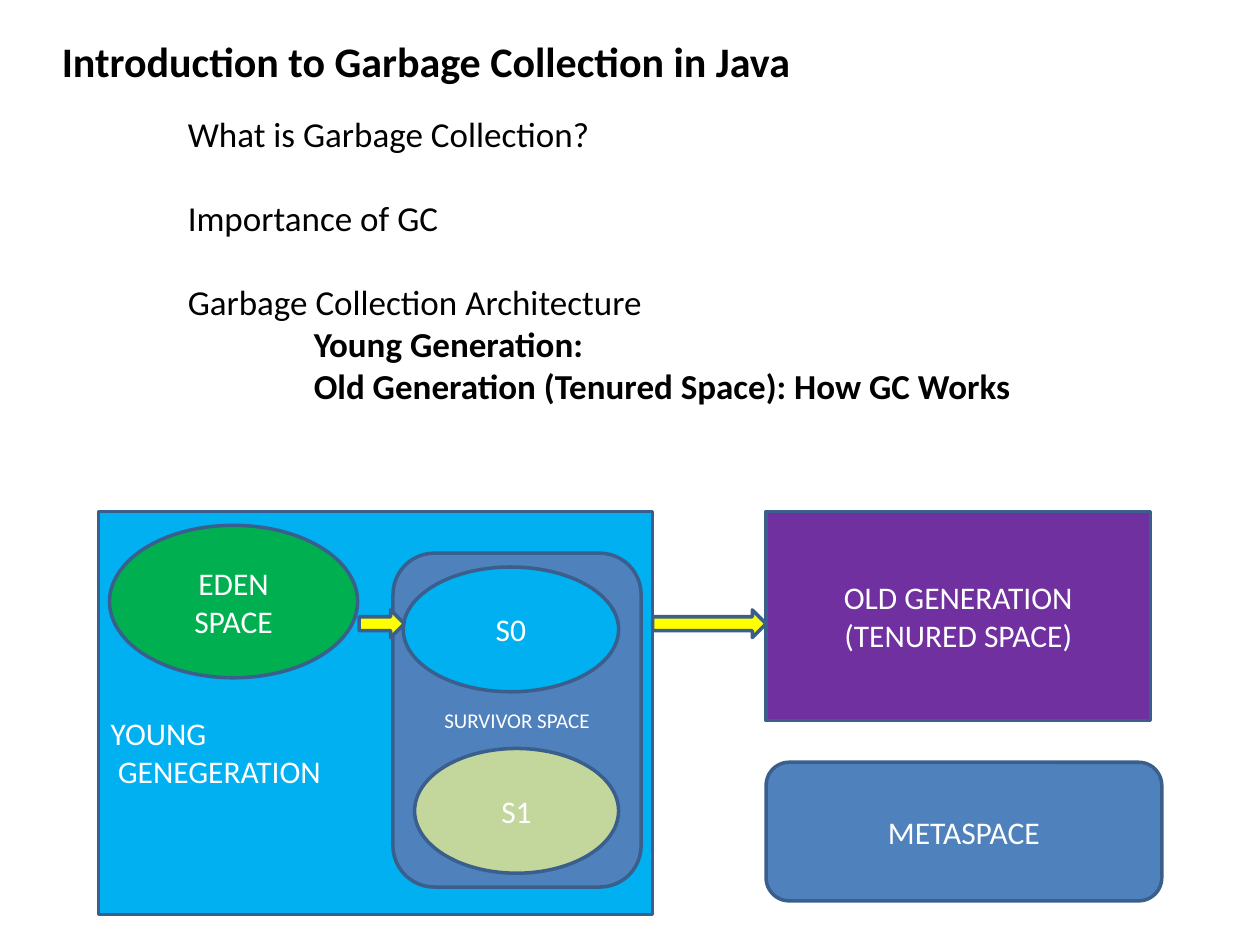
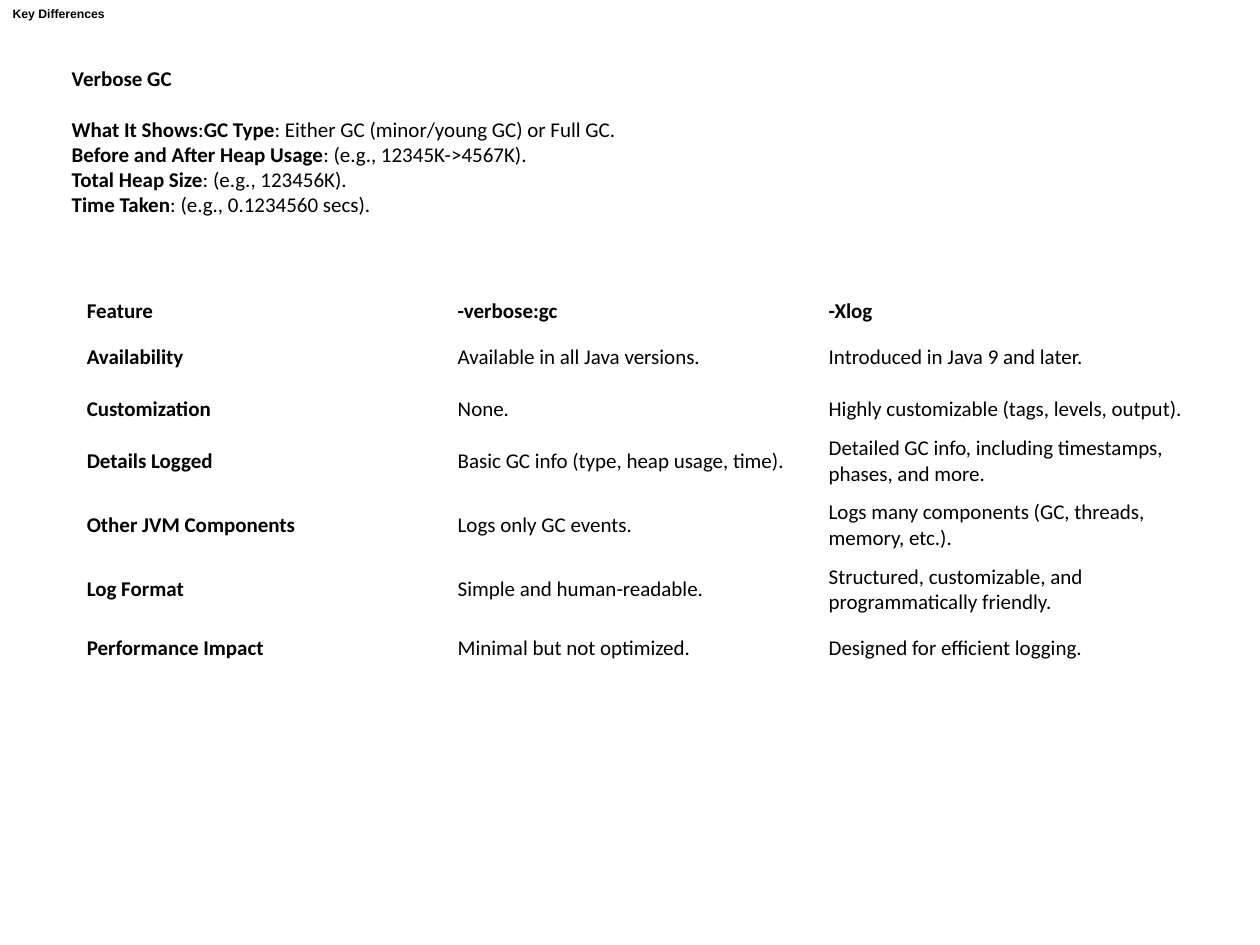
from dataclasses import dataclass

from lxml import etree
from pptx import Presentation
from pptx.dml.color import RGBColor
from pptx.enum.shapes import MSO_SHAPE
from pptx.enum.text import MSO_ANCHOR, MSO_AUTO_SIZE, PP_ALIGN
from pptx.oxml.ns import qn
from pptx.util import Pt

RECT = MSO_SHAPE.RECTANGLE
ROUND = MSO_SHAPE.ROUNDED_RECTANGLE
OVAL = MSO_SHAPE.OVAL
ARROW = MSO_SHAPE.RIGHT_ARROW
TOP, MIDDLE = MSO_ANCHOR.TOP, MSO_ANCHOR.MIDDLE
LEFT, CENTER = PP_ALIGN.LEFT, PP_ALIGN.CENTER
NO_FIT = MSO_AUTO_SIZE.NONE

FONT = "Calibri"
BLACK, WHITE, EDGE = "000000", "FFFFFF", "3A5F8C"
SKY, GREEN, BLUE = "00B0F0", "00B050", "4F81BD"
LIME, PURPLE, YELLOW = "C3D69B", "7030A0", "FFFF00"


@dataclass
class Line:
    """A list line; bars in its text switch between bold and plain."""
    text: str
    indent: float = 0
    gap: float = 0


@dataclass
class Node:
    kind: MSO_SHAPE
    box: tuple
    fill: str
    text: str = ""
    size: float = 18
    align: PP_ALIGN = CENTER
    inset: float = 3.6


TOPICS = [
    Line("|What is Garbage Collection?", 72, 24),
    Line("|Importance of GC", 72, 24),
    Line("|Garbage Collection Architecture", 72),
    Line("Young Generation:", 144),
    Line("Old Generation (Tenured Space): How GC Works", 144),
]

# The top inset pushes the label of the young generation below its middle.
NODES = [
    Node(RECT, (56.2, 292.3, 316.8, 230.4), SKY,
         "YOUNG\n GENEGERATION", align=LEFT, inset=47.6),
    Node(OVAL, (62.6, 300.2, 141.8, 87.1), GREEN, "EDEN SPACE"),
    Node(ROUND, (224.6, 316.1, 141.8, 190.8), BLUE, "SURVIVOR SPACE", 12),
    Node(OVAL, (230.4, 324, 123.1, 71.3), SKY, "S0"),
    Node(OVAL, (236.9, 427.7, 116.6, 71.3), LIME, "S1"),
    Node(RECT, (437.8, 292.3, 219.6, 119.5), PURPLE,
         "OLD GENERATION (TENURED SPACE)"),
    Node(ARROW, (205.2, 348.5, 25.9, 15.8), YELLOW),
    Node(ARROW, (373, 348.5, 64.8, 15.8), YELLOW),
    Node(ROUND, (437.8, 435.6, 226.1, 79.2), BLUE, "METASPACE"),
]

VERBOSE = [
    Line("Verbose GC", gap=14.6),
    Line("What It Shows|:|GC Type|: Either GC (minor/young GC) or Full GC."),
    Line("Before and After Heap Usage|: (e.g., 12345K->4567K)."),
    Line("Total Heap Size|: (e.g., 123456K)."),
    Line("Time Taken|: (e.g., 0.1234560 secs)."),
]

HEIGHTS = [19.4, 33.1, 25.9, 28.1, 39.6, 33.8, 33.1]
ROWS = [
    ("Feature", "-verbose:gc", "-Xlog"),
    ("Availability", "Available in all Java versions.",
     "Introduced in Java 9 and later."),
    ("Customization", "None.", "Highly customizable (tags, levels, output)."),
    ("Details Logged", "Basic GC info (type, heap usage, time).",
     "Detailed GC info, including timestamps, phases, and more."),
    ("Other JVM Components", "Logs only GC events.",
     "Logs many components (GC, threads, memory, etc.)."),
    ("Log Format", "Simple and human-readable.",
     "Structured, customizable, and programmatically friendly."),
    ("Performance Impact", "Minimal but not optimized.",
     "Designed for efficient logging."),
]


def rgb(code: str) -> RGBColor:
    return RGBColor.from_string(code)


def style(para, size: float, color: str = BLACK, bold: bool = False,
          name: str = FONT, align: PP_ALIGN = LEFT) -> None:
    font = para.font
    font.name, font.size, font.bold = name, Pt(size), bold
    font.color.rgb = rgb(color)
    para.alignment = align


def place(shape, box: tuple, anchor: MSO_ANCHOR):
    """Move a placeholder and return its text frame."""
    shape.left, shape.top, shape.width, shape.height = map(Pt, box)
    frame = shape.text_frame
    frame.auto_size, frame.word_wrap = NO_FIT, True
    frame.vertical_anchor = anchor
    return frame


def add_title(slide, text: str, box: tuple, size: float, name: str = FONT,
              anchor: MSO_ANCHOR = TOP) -> None:
    frame = place(slide.shapes.title, box, anchor)
    frame.text = text
    style(frame.paragraphs[0], size, bold=True, name=name)


def add_list(slide, lines: list[Line], box: tuple, size: float) -> None:
    frame = place(slide.placeholders[1], box, TOP)
    for i, line in enumerate(lines):
        para = frame.add_paragraph() if i else frame.paragraphs[0]
        style(para, size)
        para.space_before, para.space_after = Pt(0), Pt(line.gap)
        props = para._p.get_or_add_pPr()
        props.set("marL", str(Pt(line.indent)))
        props.set("indent", "0")
        bullet = etree.Element(qn("a:buNone"))
        props.find(qn("a:defRPr")).addprevious(bullet)
        for j, part in enumerate(line.text.split("|")):
            if part:
                run = para.add_run()
                run.text, run.font.bold = part, j % 2 == 0


def add_node(slide, node: Node) -> None:
    shape = slide.shapes.add_shape(node.kind, *map(Pt, node.box))
    shape.shadow.inherit = False
    shape.fill.solid()
    shape.fill.fore_color.rgb = rgb(node.fill)
    shape.line.color.rgb = rgb(EDGE)
    shape.line.width = Pt(2)
    if node.text:
        frame = shape.text_frame
        frame.text, frame.word_wrap = node.text, True
        frame.vertical_anchor = MIDDLE
        frame.margin_top = Pt(node.inset)
        for para in frame.paragraphs:
            style(para, node.size, WHITE, align=node.align)


def add_grid(slide, left: float, top: float, width: float) -> None:
    count = len(ROWS[0])
    table = slide.shapes.add_table(
        len(ROWS), count, Pt(left), Pt(top), Pt(width), Pt(sum(HEIGHTS))).table
    table.first_row = table.horz_banding = False
    for r, texts in enumerate(ROWS):
        table.rows[r].height = Pt(HEIGHTS[r])
        for c, text in enumerate(texts):
            cell = table.cell(r, c)
            cell.text = text
            cell.fill.background()
            cell.vertical_anchor = MIDDLE
            cell.margin_left = cell.margin_right = Pt(5)
            cell.margin_top = cell.margin_bottom = Pt(2.2)
            style(cell.text_frame.paragraphs[0], 12, bold=r == 0 or c == 0)


def main() -> None:
    deck = Presentation()
    deck.slide_width, deck.slide_height = Pt(720), Pt(540)
    layout = deck.slide_layouts[1]

    intro = deck.slides.add_slide(layout)
    add_title(intro, "Introduction to Garbage Collection in Java",
              (28.1, 16.6, 646.6, 37), 24)
    add_list(intro, TOPICS, (28.1, 60.5, 646.6, 176), 20)
    for node in NODES:
        add_node(intro, node)

    compare = deck.slides.add_slide(layout)
    add_title(compare, "Key Differences", (0, 0, 720, 15), 7, "Arial", MIDDLE)
    add_list(compare, VERBOSE, (33.8, 33.8, 646.6, 138.2), 12)
    add_grid(compare, 44.6, 168.5, 636)

    deck.save("out.pptx")


if __name__ == "__main__":
    main()
